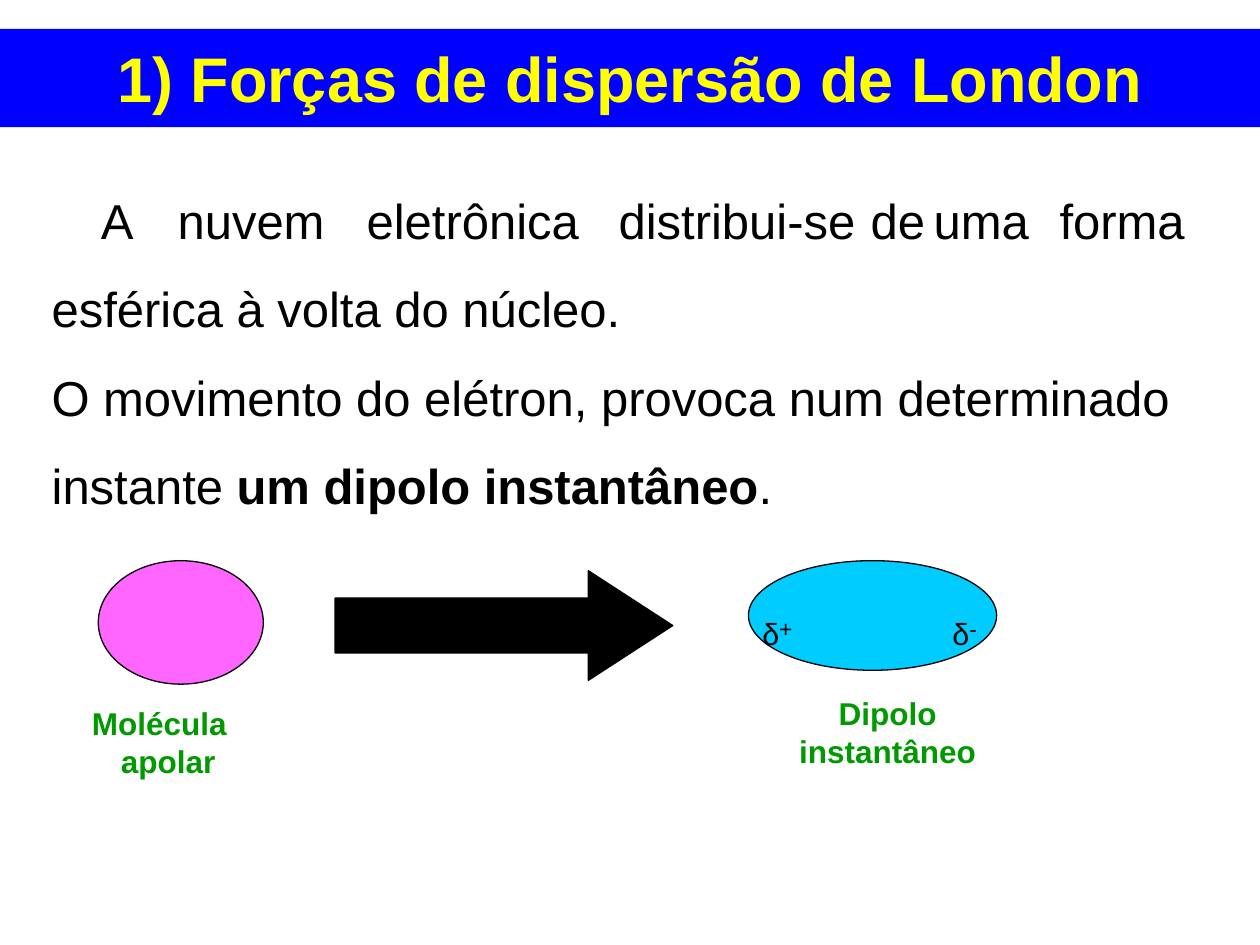
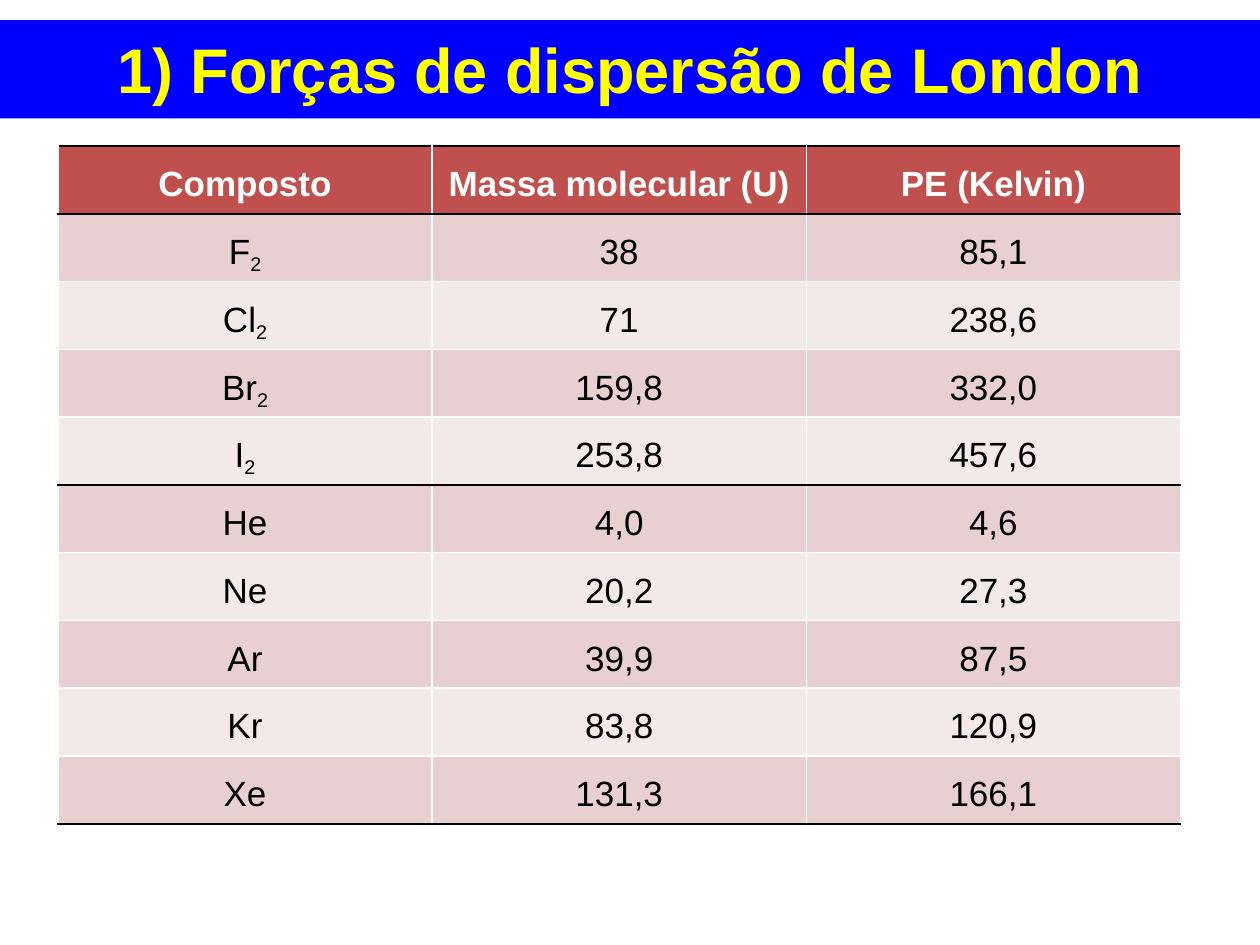
import dataclasses

import pptx
import pptx.dml.color
import pptx.enum.shapes
import pptx.enum.text
import pptx.oxml
import pptx.oxml.ns
import pptx.util
from lxml import etree

Inches = pptx.util.Inches
Pt = pptx.util.Pt
SHAPES = pptx.enum.shapes.MSO_SHAPE
ALIGN = pptx.enum.text.PP_ALIGN
LAYOUT_CONTENT, LAYOUT_TITLE_ONLY = 1, 5


@dataclasses.dataclass(frozen=True)
class Theme:
    font: str = "Arial"
    band: str = "0000FF"
    title: str = "FFFF00"
    black: str = "000000"
    white: str = "FFFFFF"
    label: str = "009900"
    apolar: str = "FF66FF"
    dipole: str = "00CCFF"
    header: str = "C0504D"
    row_dark: str = "E8D0D0"
    row_light: str = "F4E9E9"
    title_size: float = 36
    body_size: float = 28
    label_size: float = 18
    table_size: float = 20
    subscript_size: float = 19.5
    delta_size: float = 30
    charge_size: float = 13


THEME = Theme()
TITLE = "1) Forças de dispersão de London"
HEADERS = ["Composto", "Massa molecular (U)", "PE (Kelvin)"]
HALOGENS = [("F2", "38", "85,1"), ("Cl2", "71", "238,6"),
            ("Br2", "159,8", "332,0"), ("I2", "253,8", "457,6")]
NOBLE_GASES = [("He", "4,0", "4,6"), ("Ne", "20,2", "27,3"), ("Ar", "39,9", "87,5"),
               ("Kr", "83,8", "120,9"), ("Xe", "131,3", "166,1")]


# Shared helpers
def rgb(color):
    return pptx.dml.color.RGBColor.from_string(color)


def place(shape, left, top, width, height):
    shape.left, shape.top = Inches(left), Inches(top)
    shape.width, shape.height = Inches(width), Inches(height)


def format_run(run, size, color, bold=False, baseline=None):
    run.font.name = THEME.font
    run.font.size = Pt(size)
    run.font.bold = bold
    run.font.color.rgb = rgb(color)
    if baseline is not None:
        run.font._element.set("baseline", str(baseline * 1000))


def add_run(paragraph, text, *style):
    run = paragraph.add_run()
    run.text = text
    format_run(run, *style)


def set_indent(paragraph, margin, first_line):
    properties = paragraph._p.get_or_add_pPr()
    properties.set("marL", str(Inches(margin)))
    properties.set("indent", str(Inches(first_line)))


def prepare_frame(shape):
    frame = shape.text_frame
    frame.margin_left = frame.margin_right = frame.margin_bottom = 0
    frame.margin_top = Inches(0.01)
    frame.word_wrap = True
    frame.auto_size = pptx.enum.text.MSO_AUTO_SIZE.NONE
    frame.vertical_anchor = pptx.enum.text.MSO_ANCHOR.TOP
    return frame


def add_text_box(slide, left, top, width, height):
    box = slide.shapes.add_textbox(Inches(left), Inches(top), Inches(width), Inches(height))
    return prepare_frame(box)


def add_filled_shape(slide, kind, box, fill, outlined=True):
    shape = slide.shapes.add_shape(kind, *map(Inches, box))
    shape.shadow.inherit = False
    shape.fill.solid()
    shape.fill.fore_color.rgb = rgb(fill)
    if outlined:
        shape.line.color.rgb = rgb(THEME.black)
        shape.line.width = Pt(0.75)
    else:
        shape.line.fill.background()
    return shape


# Title on its blue band
def add_title_band(slide, top):
    band = add_filled_shape(slide, SHAPES.RECTANGLE, (0, top, 10, 0.78), THEME.band, False)
    slide.shapes._spTree.insert(2, band._element)
    title = slide.shapes.title
    place(title, 0.93, top + 0.07, 8.3, 0.63)
    frame = prepare_frame(title)
    frame.text = TITLE
    paragraph = frame.paragraphs[0]
    paragraph.alignment = ALIGN.LEFT
    format_run(paragraph.runs[0], THEME.title_size, THEME.title, True)


# Explanation text
def fill_body(body, box):
    place(body, *box)
    frame = prepare_frame(body)
    texts = [
        (0.39, [("A\tnuvem\teletrônica\tdistribui-se\tde\tuma\t"
                 "forma esférica à volta do núcleo.", False)]),
        (0, [("O movimento do elétron, provoca num determinado instante ", False),
             ("um dipolo instantâneo", True), (".", False)]),
    ]
    for index, (first_line, pieces) in enumerate(texts):
        paragraph = frame.add_paragraph() if index else frame.paragraphs[0]
        set_indent(paragraph, 0.01, first_line)
        paragraph.line_spacing = 1.5
        paragraph.space_before = Pt(0)
        etree.SubElement(paragraph._p.pPr, pptx.oxml.ns.qn("a:buNone"))
        for text, bold in pieces:
            add_run(paragraph, text, THEME.body_size, THEME.black, bold)


# Apolar molecule turning into a dipole
def add_label(frame, lines, alignment):
    frame.text = "\n".join(lines)
    for paragraph in frame.paragraphs:
        paragraph.alignment = alignment
        format_run(paragraph.runs[0], THEME.label_size, THEME.label, True)


def add_dipole_diagram(slide, left, top):
    add_filled_shape(slide, SHAPES.OVAL, (left, top, 1.31, 0.98), THEME.apolar)
    apolar_label = add_text_box(slide, left - 0.06, top + 1.13, 1.1, 0.63)
    add_label(apolar_label, ["Molécula apolar"], ALIGN.LEFT)
    set_indent(apolar_label.paragraphs[0], 0.24, -0.23)

    arrow = add_filled_shape(slide, SHAPES.RIGHT_ARROW,
                             (left + 1.88, top + 0.08, 2.68, 0.87), THEME.black)
    arrow.adjustments[0] = 0.5
    arrow.adjustments[1] = 0.77

    dipole_left = left + 5.16
    add_filled_shape(slide, SHAPES.OVAL, (dipole_left, top, 1.97, 0.87), THEME.dipole)
    dipole_label = add_text_box(slide, dipole_left + 0.39, top + 1.05, 1.43, 0.63)
    add_label(dipole_label, ["Dipolo", "instantâneo"], ALIGN.CENTER)

    for offset, charge in ((0.11, "+"), (1.62, "-")):
        frame = add_text_box(slide, dipole_left + offset, top + 0.18, 0.27, 0.36)
        paragraph = frame.paragraphs[0]
        add_run(paragraph, "δ", THEME.delta_size, THEME.black, False, -17)
        add_run(paragraph, charge, THEME.charge_size, THEME.black)


# Table of boiling points
def set_borders(cell, top, bottom):
    properties = cell._tc.get_or_add_tcPr()
    sides = {"L": THEME.white, "R": THEME.white, "T": top, "B": bottom}
    for side, color in sides.items():
        properties.append(pptx.oxml.parse_xml(
            f'<a:ln{side} {pptx.oxml.ns.nsdecls("a")} w="12700"><a:solidFill>'
            f'<a:srgbClr val="{color}"/></a:solidFill></a:ln{side}>'))


def fill_cell(cell, text, is_header, fill):
    cell.margin_left = cell.margin_right = cell.margin_bottom = 0
    cell.margin_top = Inches(0.15)
    cell.fill.solid()
    cell.fill.fore_color.rgb = rgb(fill)
    paragraph = cell.text_frame.paragraphs[0]
    paragraph.alignment = ALIGN.CENTER
    color = THEME.white if is_header else THEME.black
    is_diatomic = text[0].isalpha() and text.endswith("2")
    add_run(paragraph, text[:-1] if is_diatomic else text, THEME.table_size, color, is_header)
    if is_diatomic:
        add_run(paragraph, "2", THEME.subscript_size, color, False, -21)


def add_boiling_table(slide, box):
    rows = [HEADERS, *HALOGENS, *NOBLE_GASES]
    table = slide.shapes.add_table(len(rows), len(HEADERS), *map(Inches, box)).table
    # Black rules enclose the header and each family of substances
    rules = {0, 1, 1 + len(HALOGENS), len(rows)}
    edges = [THEME.black if index in rules else THEME.white
             for index in range(len(rows) + 1)]
    for row_index, row in enumerate(rows):
        if row_index == 0:
            fill = THEME.header
        else:
            fill = THEME.row_dark if row_index % 2 else THEME.row_light
        for column_index, text in enumerate(row):
            cell = table.cell(row_index, column_index)
            set_borders(cell, edges[row_index], edges[row_index + 1])
            fill_cell(cell, text, row_index == 0, fill)


# Slides
def build_dispersion_slide(presentation):
    slide = presentation.slides.add_slide(presentation.slide_layouts[LAYOUT_CONTENT])
    add_title_band(slide, 0.23)
    fill_body(slide.placeholders[1], (0.4, 1.27, 9.04, 2.83))
    add_dipole_diagram(slide, 0.78, 4.45)


def build_table_slide(presentation):
    slide = presentation.slides.add_slide(presentation.slide_layouts[LAYOUT_TITLE_ONLY])
    add_title_band(slide, 0.16)
    add_boiling_table(slide, (0.46, 1.16, 8.91, 5.38))


def main():
    presentation = pptx.Presentation()
    presentation.slide_width = Inches(10)
    presentation.slide_height = Inches(7.5)
    build_dispersion_slide(presentation)
    build_table_slide(presentation)
    presentation.save("out.pptx")


if __name__ == "__main__":
    main()
